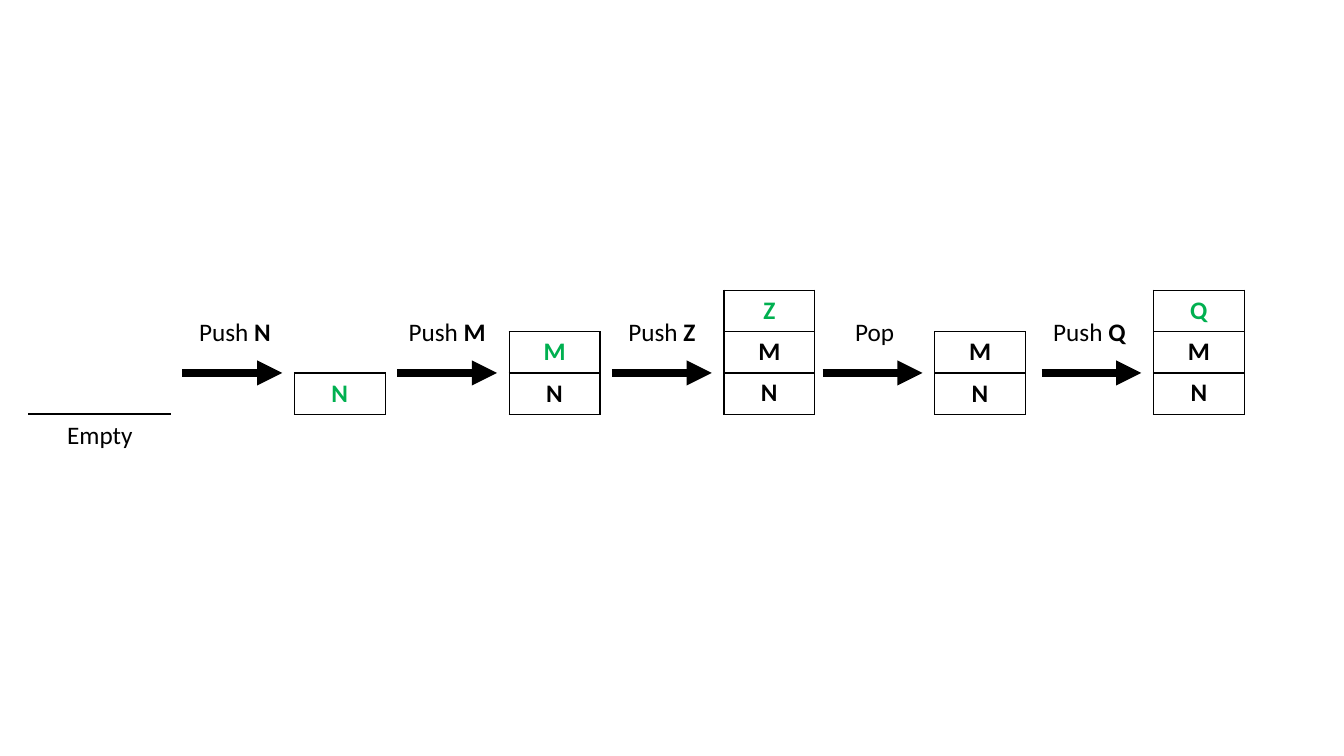
"""Draw a stack changing through a series of push and pop operations."""
from dataclasses import dataclass

from lxml.etree import SubElement
from pptx import Presentation
from pptx.dml.color import RGBColor
from pptx.enum.shapes import MSO_CONNECTOR
from pptx.enum.text import MSO_AUTO_SIZE, PP_ALIGN
from pptx.oxml import parse_xml
from pptx.oxml.ns import nsdecls, qn
from pptx.slide import Slide
from pptx.util import Inches, Pt

COLORS = {"ink": "000000", "pushed": "00B050"}
FONT = "Calibri"
BASE_Y, ARROW_Y, LABEL_Y = 4.11, 3.7, 3.09
CELL_W, CELL_H, LABEL_H = 0.9, 0.41, 0.4
ARROW_GAP, ARROW_W = 1.11, 0.99
EMPTY_X, EMPTY_W, FIRST_LABEL_X = 0.28, 1.42, 1.74


@dataclass
class Step:
    """One operation and the stack it leaves, listed from the top."""
    action: str
    item: str
    stack: str
    x: float


STEPS = [
    Step("Push ", "N", "N", 2.92),
    Step("Push ", "M", "MN", 5.05),
    Step("Push ", "Z", "ZMN", 7.18),
    Step("Pop", "", "MN", 9.27),
    Step("Push ", "Q", "QMN", 11.44),
]


def style_paragraph(p, color: str = "ink") -> None:
    """Centre a paragraph and set its font."""
    p.alignment = PP_ALIGN.CENTER
    p.font.name = FONT
    p.font.size = Pt(18)
    p.font.color.rgb = RGBColor.from_string(COLORS[color])


def add_line(s: Slide, x: float, y: float, w: float, weight: float, arrow: bool = False) -> None:
    """Add a horizontal line, with an arrowhead on its right end if asked."""
    c = s.shapes.add_connector(MSO_CONNECTOR.STRAIGHT, Inches(x), Inches(y), Inches(x + w), Inches(y))
    c.line.width = Pt(weight)
    c.line.color.rgb = RGBColor.from_string(COLORS["ink"])
    sp_pr = c.element.spPr
    if arrow:
        SubElement(sp_pr.find(qn("a:ln")), qn("a:tailEnd"), type="triangle")
    SubElement(sp_pr, qn("a:effectLst"))


def add_label(s: Slide, x: float, y: float, w: float, text: str, bold: str = "") -> None:
    """Add a centred label, ending in bold text if given."""
    sp = s.shapes.add_textbox(Inches(x), Inches(y), Inches(w), Inches(LABEL_H))
    tf = sp.text_frame
    tf.word_wrap = True
    tf.auto_size = MSO_AUTO_SIZE.SHAPE_TO_FIT_TEXT
    p = tf.paragraphs[0]
    style_paragraph(p)
    p.add_run().text = text
    if bold:
        r = p.add_run()
        r.text = bold
        r.font.bold = True


def add_stack(s: Slide, step: Step) -> None:
    """Add a one-column table standing on the base line."""
    n = len(step.stack)
    h = n * CELL_H
    frame = s.shapes.add_table(n, 1, Inches(step.x), Inches(BASE_Y - h), Inches(CELL_W), Inches(h))
    table = frame.table
    table.first_row = table.horz_banding = False
    for i, item in enumerate(step.stack):
        cell = table.cell(i, 0)
        cell.fill.background()
        cell.text = item
        p = cell.text_frame.paragraphs[0]
        style_paragraph(p, "pushed" if item == step.item and i == 0 else "ink")
        p.font.bold = True
    for tc_pr in frame.element.iter(qn("a:tcPr")):
        for i, side in enumerate("LRTB"):
            tc_pr.insert(i, parse_xml(
                f'<a:ln{side} {nsdecls("a")} w="{Pt(1)}"><a:solidFill>'
                f'<a:srgbClr val="{COLORS["ink"]}"/></a:solidFill></a:ln{side}>'))


def main() -> None:
    """Build and save the slide."""
    prs = Presentation()
    prs.slide_width, prs.slide_height = Inches(13.33), Inches(7.5)
    s = prs.slides.add_slide(prs.slide_layouts[6])
    add_line(s, EMPTY_X, BASE_Y, EMPTY_W, 1.5)
    add_label(s, EMPTY_X, BASE_Y, EMPTY_W, "Empty")
    label_x = FIRST_LABEL_X
    for step in STEPS:
        add_stack(s, step)
        add_line(s, step.x - ARROW_GAP, ARROW_Y, ARROW_W, 6, arrow=True)
        add_label(s, label_x, LABEL_Y, step.x - label_x, step.action, step.item)
        label_x = step.x + CELL_W
    prs.save("out.pptx")


main()
